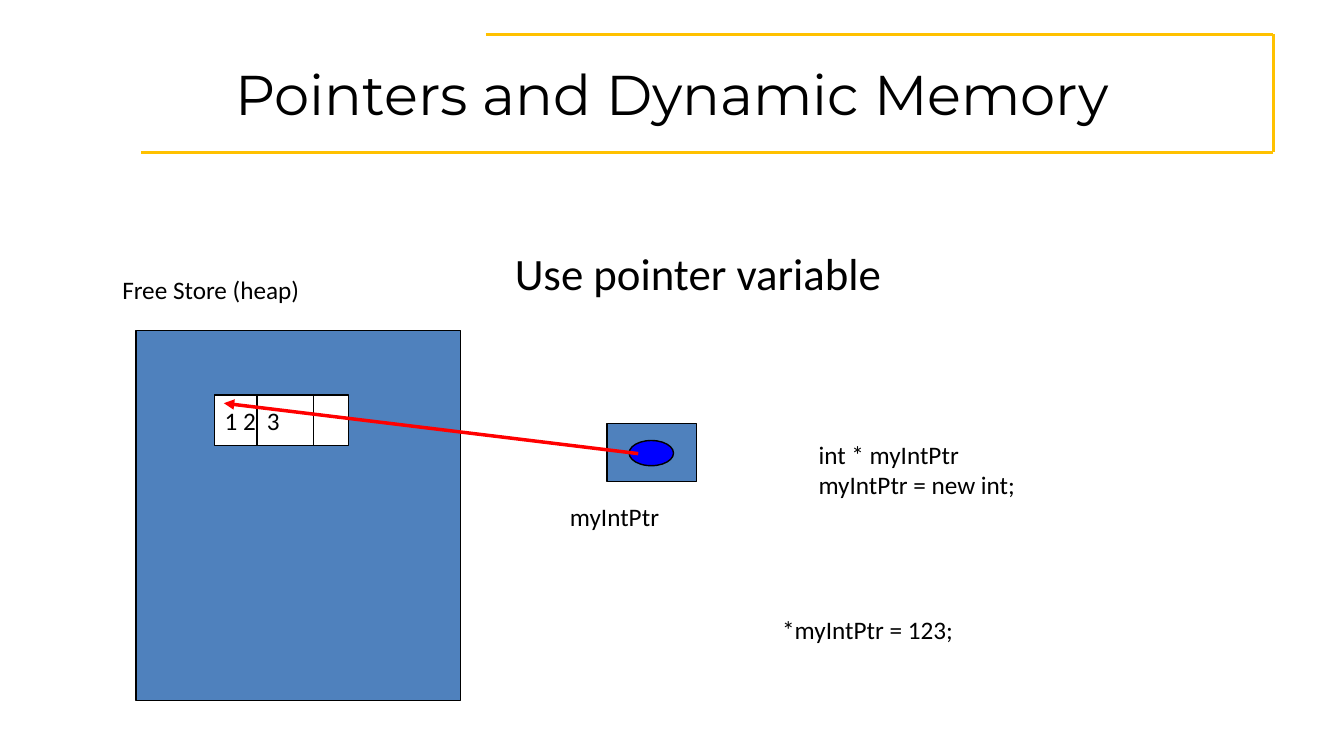
from pptx import Presentation
from pptx.dml.color import RGBColor
from pptx.enum.shapes import MSO_CONNECTOR, MSO_SHAPE
from pptx.enum.text import MSO_ANCHOR, PP_ALIGN
from pptx.oxml.ns import qn
from pptx.util import Inches, Pt
from lxml.etree import SubElement

BLACK = RGBColor(0x00, 0x00, 0x00)
WHITE = RGBColor(0xFF, 0xFF, 0xFF)
STEEL = RGBColor(0x4F, 0x81, 0xBD)
BLUE = RGBColor(0x00, 0x00, 0xFF)
RED = RGBColor(0xFF, 0x00, 0x00)
GOLD = RGBColor(0xFF, 0xC1, 0x00)


class Board:
    head = "Montserrat"
    body = "Calibri"

    def __init__(self, deck):
        self.slide = deck.slides.add_slide(deck.slide_layouts[5])
        self.shapes = self.slide.shapes

    def style(self, frame, text, size=18, face=body, align=PP_ALIGN.CENTER):
        frame.text = text
        frame.vertical_anchor = MSO_ANCHOR.MIDDLE
        for para in frame.paragraphs:
            para.alignment = align
            for run in para.runs:
                run.font.size = Pt(size)
                run.font.name = face
                run.font.color.rgb = BLACK

    def title(self, text, left, top, width, height):
        box = self.shapes.title
        box.left, box.top = Inches(left), Inches(top)
        box.width, box.height = Inches(width), Inches(height)
        self.style(box.text_frame, text, 40, self.head)

    def label(self, text, left, top, width, height, **look):
        box = self.shapes.add_textbox(
            Inches(left), Inches(top), Inches(width), Inches(height))
        box.text_frame.word_wrap = False
        self.style(box.text_frame, text, **look)

    def block(self, kind, fill, left, top, width, height):
        shape = self.shapes.add_shape(
            kind, Inches(left), Inches(top), Inches(width), Inches(height))
        shape.shadow.inherit = False
        shape.fill.solid()
        shape.fill.fore_color.rgb = fill
        shape.line.color.rgb = BLACK
        shape.line.width = Pt(1)
        return shape

    def line(self, start, end, color=BLACK, width=1, arrow=False):
        link = self.shapes.add_connector(
            MSO_CONNECTOR.STRAIGHT, *map(Inches, start + end))
        link.line.color.rgb = color
        link.line.width = Pt(width)
        props = link._element.spPr
        if arrow:
            SubElement(props.find(qn("a:ln")), qn("a:tailEnd"), type="triangle")
        SubElement(props, qn("a:effectLst"))

    def cells(self, text, left, top, width, height, cuts, stop):
        box = self.block(MSO_SHAPE.RECTANGLE, WHITE, left, top, width, height)
        self.style(box.text_frame, text, align=PP_ALIGN.LEFT)
        props = box.text_frame.paragraphs[0]._p.get_or_add_pPr()
        tabs = SubElement(props, qn("a:tabLst"))
        SubElement(tabs, qn("a:tab"), pos=str(Inches(stop)), algn="l")
        for cut in cuts:
            self.line((cut, top), (cut, top + height))


def main():
    deck = Presentation()
    deck.slide_width, deck.slide_height = Inches(13.33), Inches(7.5)
    board = Board(deck)

    frame = [(4.82, 0.34), (12.63, 0.34), (12.63, 1.51), (1.4, 1.51)]
    for start, end in zip(frame, frame[1:]):
        board.line(start, end, GOLD, 2)
    board.title("Pointers and Dynamic Memory", 0.67, 0.3, 12, 1.25)

    board.block(MSO_SHAPE.RECTANGLE, STEEL, 1.35, 3.28, 3.22, 3.67)
    board.label("Free Store (heap)", 1.1, 2.67, 1.98, 0.4)
    board.block(MSO_SHAPE.RECTANGLE, STEEL, 6.02, 4.2, 0.89, 0.58)
    board.block(MSO_SHAPE.OVAL, BLUE, 6.24, 4.37, 0.44, 0.25)
    board.label("myIntPtr", 5.55, 4.92, 1.09, 0.4)
    board.label("int * myIntPtr\nmyIntPtr = new int;", 8.02, 4.3, 2.17, 0.71,
                align=PP_ALIGN.LEFT)
    board.label("*myIntPtr = 123;", 7.65, 6.04, 1.91, 0.4)
    board.cells("1 2\t3", 2.13, 3.92, 1.33, 0.5, cuts=(2.55, 3.11), stop=0.42)
    board.line((6.33, 4.5), (2.22, 4), RED, 2.5, arrow=True)
    board.label("Use pointer variable", 4.99, 2.38, 3.87, 0.64, size=32)

    deck.save("out.pptx")


if __name__ == "__main__":
    main()
